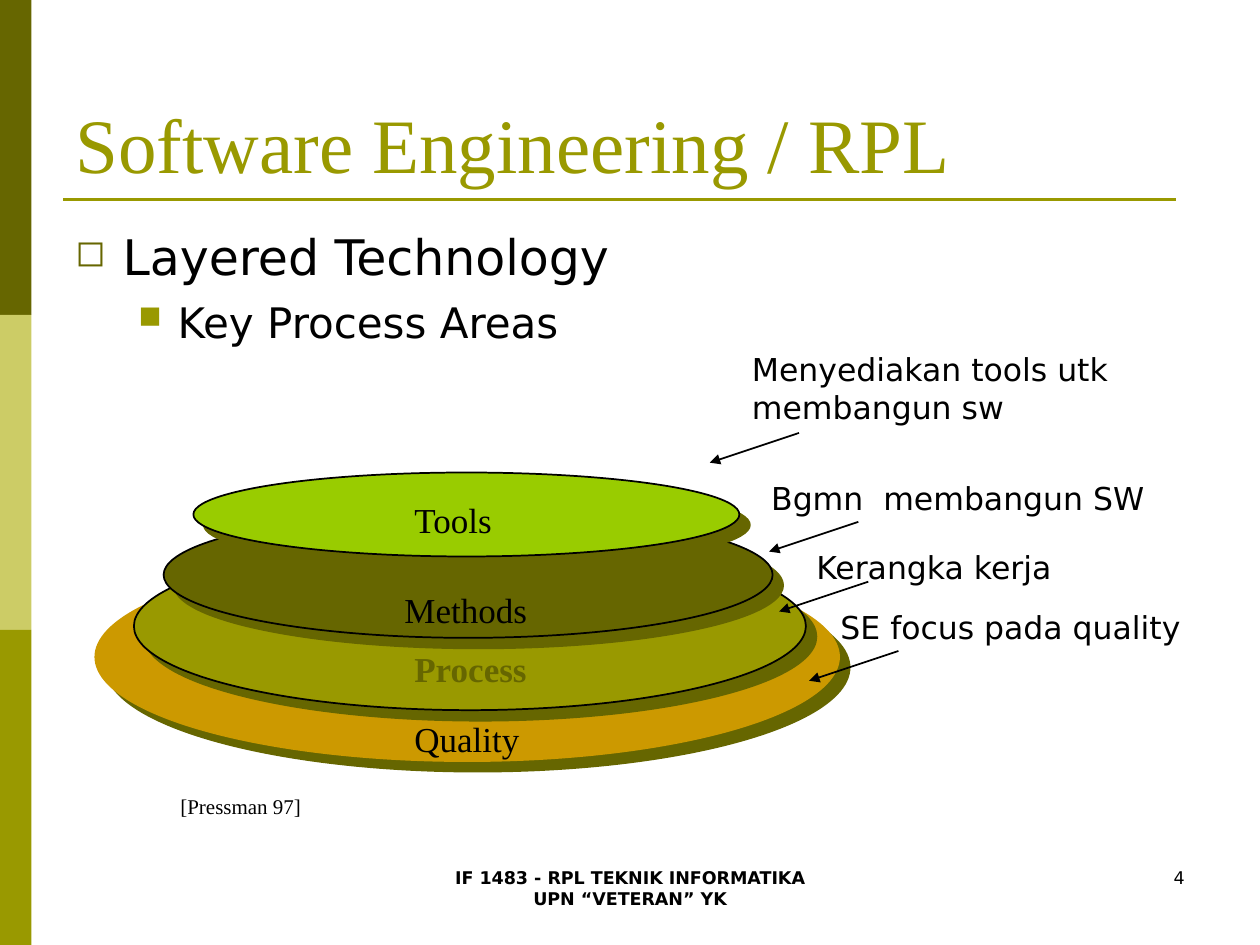
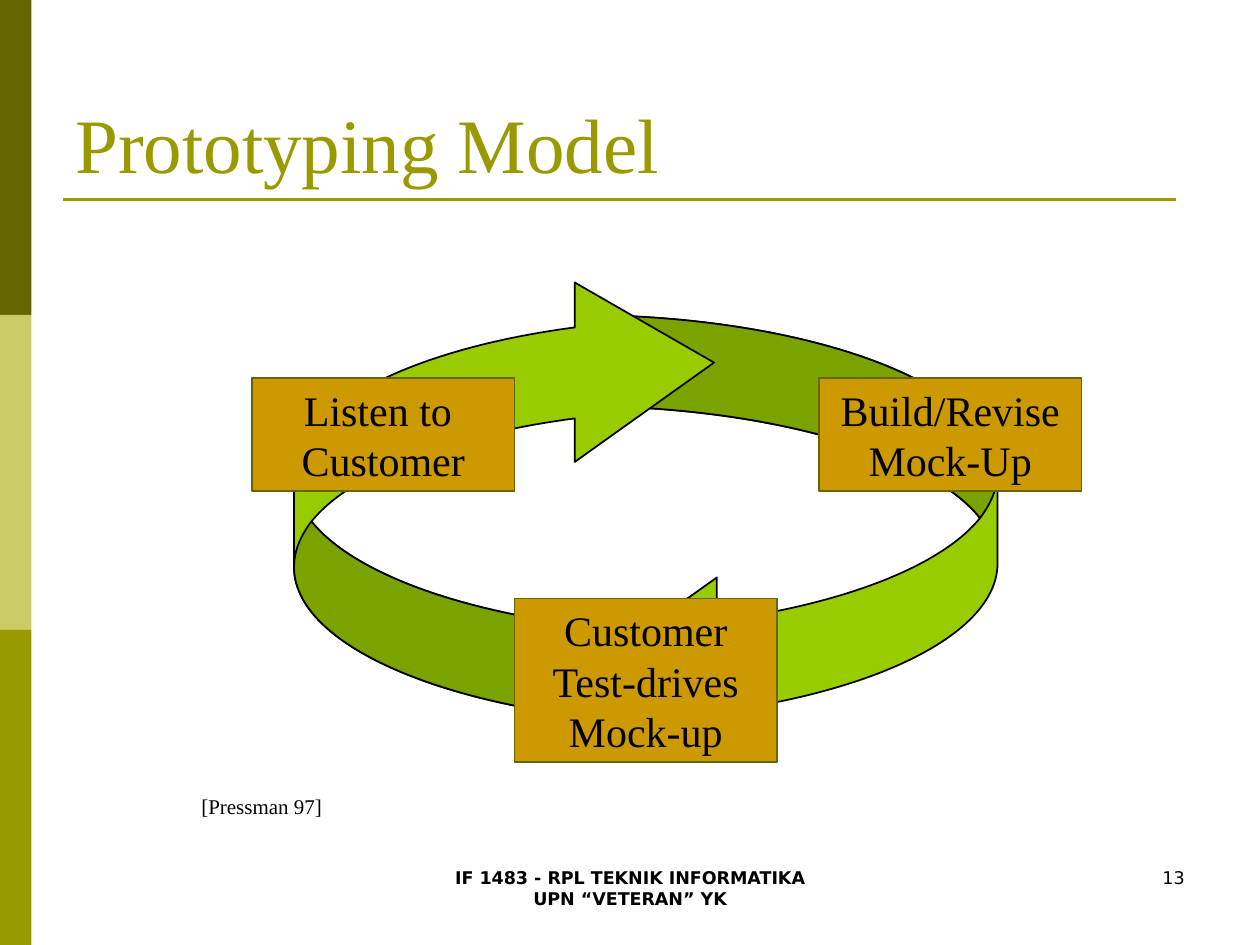
from lxml import etree
from pptx import Presentation
from pptx.dml.color import RGBColor
from pptx.enum.shapes import MSO_CONNECTOR, MSO_SHAPE
from pptx.enum.text import MSO_ANCHOR, MSO_AUTO_SIZE, PP_ALIGN
from pptx.oxml.ns import qn
from pptx.util import Pt

RECT, OVAL = MSO_SHAPE.RECTANGLE, MSO_SHAPE.OVAL
STRAIGHT = MSO_CONNECTOR.STRAIGHT
LEFT, CENTER, RIGHT = PP_ALIGN.LEFT, PP_ALIGN.CENTER, PP_ALIGN.RIGHT
TOP, MIDDLE, BOTTOM = MSO_ANCHOR.TOP, MSO_ANCHOR.MIDDLE, MSO_ANCHOR.BOTTOM
GROW = MSO_AUTO_SIZE.SHAPE_TO_FIT_TEXT

SERIF, SANS = "Times New Roman", "DejaVu Sans"
BLACK, DARK, OLIVE, PALE = "000000", "666600", "999900", "CCCC66"
GOLD, LIME = "CC9900", "99CC00"
FOOTER = ["IF 1483 - RPL TEKNIK INFORMATIKA", "UPN “VETERAN” YK"]

# Right half of the cycle: start point, then lines (2 numbers) and curves (6)
RIBBON_OUTER = [(330, 180), (462.5, 180, 570, 220.3, 570, 270)]
RIBBON_INNER = [(529.7, 258.2, 436.2, 232, 330, 232)]
ARROW = RIBBON_OUTER + [
    (570, 322), (570, 360.2, 505.7, 394.2, 409.6, 406.9),
    (409.6, 432.6), (330, 386.8), (409.6, 330), (409.6, 354.9),
    (482.1, 345.3, 538, 323.4, 560, 296)] + RIBBON_INNER
ARROW_BACK = RIBBON_OUTER + [(570, 278.7, 566.6, 287.4, 560, 296)] + RIBBON_INNER


def rgb(value):
    return RGBColor.from_string(value)


# --- Text ---
def write(tf, lines, size=18, font=SANS, color=BLACK, bold=False, align=LEFT,
          anchor=TOP, wrap=True, spacing=None):
    tf.word_wrap = wrap
    tf.vertical_anchor = anchor
    if not wrap:
        tf.auto_size = GROW
    for i, line in enumerate(lines):
        p = tf.paragraphs[0] if i == 0 else tf.add_paragraph()
        p.alignment = align
        if spacing:
            p.line_spacing = Pt(spacing)
        r = p.add_run()
        r.text = line
        r.font.size, r.font.name, r.font.bold = Pt(size), font, bold
        r.font.color.rgb = rgb(color)


def add_text(s, x, y, w, h, *lines, **fmt):
    sp = s.shapes.add_textbox(Pt(x), Pt(y), Pt(w), Pt(h))
    write(sp.text_frame, lines, **fmt)
    return sp.text_frame


def set_bullet(p, char, color, margin, hang):
    pPr = p._p.get_or_add_pPr()
    pPr.set("marL", str(Pt(margin)))
    pPr.set("indent", str(-Pt(hang)))
    clr = etree.SubElement(pPr, qn("a:buClr"))
    etree.SubElement(clr, qn("a:srgbClr"), val=color)
    etree.SubElement(pPr, qn("a:buSzPct"), val="75000")
    etree.SubElement(pPr, qn("a:buChar"), char=char)


# --- Shapes and lines ---
def paint(sp, fill, line=None):
    sp.shadow.inherit = False
    sp.fill.solid()
    sp.fill.fore_color.rgb = rgb(fill)
    if line:
        sp.line.color.rgb = rgb(line)
        sp.line.width = Pt(1)
    else:
        sp.line.fill.background()


def add_shape(s, kind, x, y, w, h, fill, line=None):
    sp = s.shapes.add_shape(kind, Pt(x), Pt(y), Pt(w), Pt(h))
    paint(sp, fill, line)
    return sp


def add_layer(s, x, y, w, h, fill, line):
    sp = add_shape(s, OVAL, x, y, w, h, fill, line)
    effects = sp._element.spPr.find(qn("a:effectLst"))
    shadow = etree.SubElement(effects, qn("a:outerShdw"), blurRad="0",
                              dist=str(Pt(8.5)), dir="2700000", algn="ctr", rotWithShape="0")
    etree.SubElement(shadow, qn("a:srgbClr"), val=DARK)


def add_line(s, x1, y1, x2, y2, color, width, arrow=False):
    cn = s.shapes.add_connector(STRAIGHT, Pt(x1), Pt(y1), Pt(x2), Pt(y2))
    cn.line.color.rgb = rgb(color)
    cn.line.width = Pt(width)
    if arrow:
        etree.SubElement(cn.line._get_or_add_ln(), qn("a:tailEnd"), type="triangle")
    etree.SubElement(cn._element.spPr, qn("a:effectLst"))


def to_points(segments, turned):
    pairs = [seg[i:i + 2] for seg in segments for i in range(0, len(seg), 2)]
    if turned:  # half a turn about the centre of the cycle
        pairs = [(738 - x, 594 - y) for x, y in pairs]
    return [(Pt(x), Pt(y)) for x, y in pairs]


def fill_path(path, nodes, segments):
    """Move the nodes of one contour into path, joining threes into curves."""
    for seg in segments:
        if len(seg) == 6:
            curve = etree.SubElement(path, qn("a:cubicBezTo"))
            for _ in range(3):
                curve.append(next(nodes)[0])
        else:
            path.append(next(nodes))
    path.append(next(nodes))  # close


def add_curved_arrow(s, turned):
    front, back = to_points(ARROW, turned), to_points(ARROW_BACK, turned)
    builder = s.shapes.build_freeform(*front[0])
    builder.add_line_segments(front[1:], close=True)
    builder.move_to(*back[0])
    builder.add_line_segments(back[1:], close=True)
    sp = builder.convert_to_shape()
    paint(sp, LIME, BLACK)

    # The back of the ribbon is a second, darker path
    path = next(sp._element.iter(qn("a:path")))
    shade = etree.SubElement(path.getparent(), qn("a:path"), dict(path.attrib),
                             fill="darkenLess")
    nodes = list(path)
    for node in nodes:
        path.remove(node)
    nodes = iter(nodes)
    fill_path(path, nodes, ARROW)
    fill_path(shade, nodes, ARROW_BACK)


# --- Slides ---
def add_slide(prs, title, number, source_x):
    s = prs.slides.add_slide(prs.slide_layouts[6])
    for i, color in enumerate((DARK, PALE, OLIVE)):
        add_shape(s, RECT, 0, 180 * i, 18, 180, color)
    add_line(s, 36, 114, 672, 114, OLIVE, 1.5)
    add_text(s, 246, 492, 228, 36, *FOOTER, size=10, bold=True, align=CENTER)
    add_text(s, 516, 492, 168, 36, number, size=10, align=RIGHT)
    add_text(s, 36, 21.6, 648, 90, title, size=44, font=SERIF, color=OLIVE, anchor=BOTTOM)
    add_text(s, source_x, 450, 174, 21.6, "[Pressman 97]", size=12, font=SERIF)
    return s


def layers_slide(prs):
    s = add_slide(prs, "Software Engineering / RPL", "4", 96)

    # Outline
    tf = add_text(s, 36, 126, 648, 145, "Layered Technology", "Key Process Areas", size=28)
    first, second = tf.paragraphs
    set_bullet(first, "◻", DARK, 27, 27)
    set_bullet(second, "■", OLIVE, 58.5, 22.5)
    second.level = 1
    second.space_before = Pt(6)
    second.runs[0].font.size = Pt(24)

    # Stacked layers, bottom to top
    for layer in ((54, 315.4, 426, 120, GOLD, None),
                  (76.5, 309.8, 384, 96, OLIVE, BLACK),
                  (93.5, 292.5, 348, 72, DARK, BLACK),
                  (110.5, 270, 312, 48, LIME, BLACK)):
        add_layer(s, *layer)
    for name, x, y, w, color in (("Tools", 229.7, 281.5, 60, BLACK),
                                 ("Methods", 224, 332.6, 84.4, BLACK),
                                 ("Process", 229.7, 366.5, 78.5, DARK),
                                 ("Quality", 229.7, 406.3, 74.4, BLACK)):
        add_text(s, x, y, w, 31.7, name, size=20, font=SERIF, color=color,
                 bold=color == DARK, wrap=False)

    # Remarks with arrows to the layers
    for remark, x, y, w, h, arrow_x, arrow_y in (
            ("Menyediakan tools utk membangun sw", 422.6, 196.6, 260.6, 50.4, 456.6, 247.4),
            ("Bgmn  membangun SW", 433.6, 270, 260.6, 28.8, 490.5, 298.2),
            ("Kerangka kerja", 459.4, 309.6, 260.6, 28.8, 496.2, 332.4),
            ("SE focus pada quality", 473.2, 343.9, 246.8, 28.8, 513.4, 372)):
        add_line(s, arrow_x, arrow_y, arrow_x - 51, arrow_y + 17, BLACK, 1, arrow=True)
        add_text(s, x, y, w, h, remark)


def prototyping_slide(prs):
    s = add_slide(prs, "Prototyping Model", "13", 108)

    # Cycle of two curved arrows
    for turned in (False, True):
        add_curved_arrow(s, turned)

    # Steps
    for x, y, lines in ((144, 216, ["Listen to ", "Customer"]),
                        (294, 342, ["Customer", "Test-drives", "Mock-up"]),
                        (468, 216, ["Build/Revise", "Mock-Up"])):
        sp = add_shape(s, RECT, x, y, 150, 7.2 + 28.8 * len(lines), GOLD, DARK)
        write(sp.text_frame, lines, size=24, font=SERIF, align=CENTER,
              anchor=MIDDLE, spacing=28.8)


def main():
    prs = Presentation()
    prs.slide_width, prs.slide_height = Pt(720), Pt(540)
    layers_slide(prs)
    prototyping_slide(prs)
    prs.save("out.pptx")


if __name__ == "__main__":
    main()
